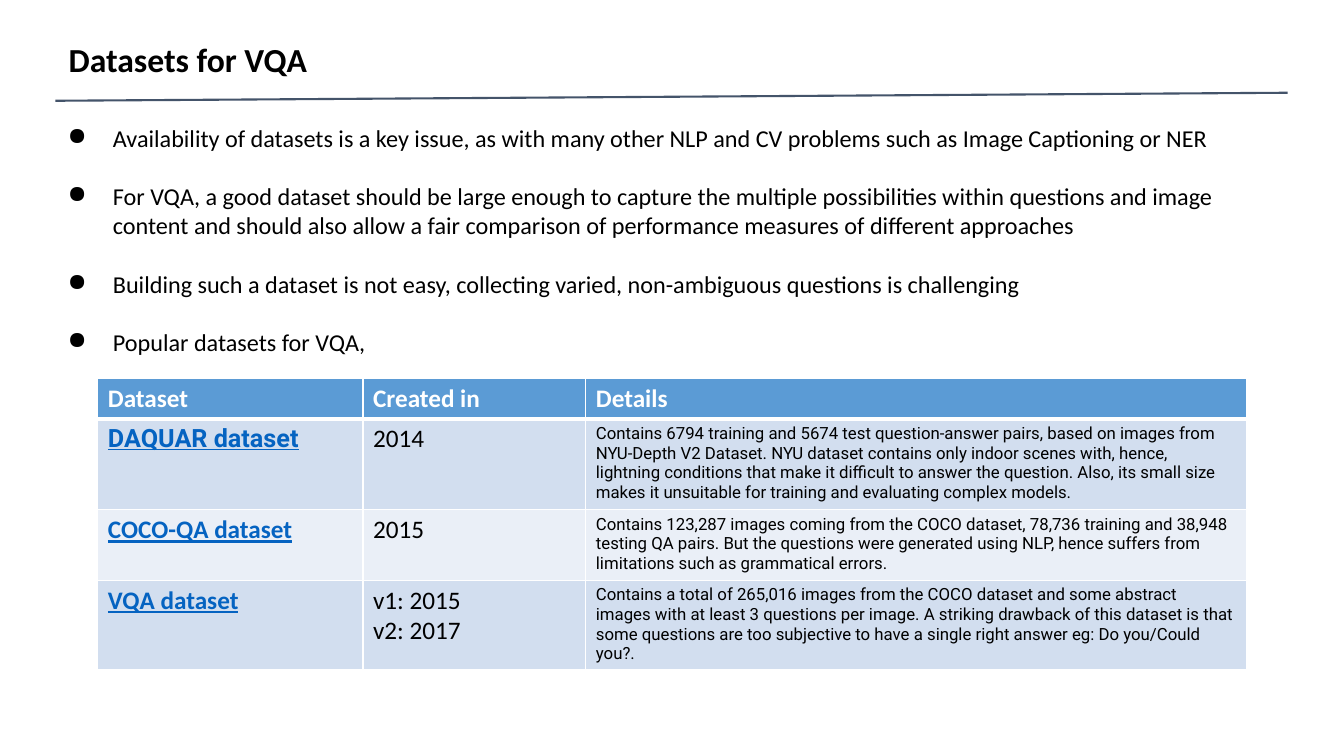
"""Build a slide on datasets for visual question answering."""
from dataclasses import dataclass

import pptx
import pptx.dml.color
import pptx.enum.shapes
import pptx.enum.text
import pptx.oxml
import pptx.oxml.ns
import pptx.util


@dataclass(frozen=True)
class Theme:
    """Colours, fonts and type sizes of the slide."""
    ink: str = "000000"
    paper: str = "FFFFFF"
    rule: str = "44546A"
    header: str = "5B9BD5"
    link: str = "0563C1"
    bands: tuple = ("D2DEEF", "EAEFF7")
    main_font: str = "Calibri"
    detail_font: str = "Roboto"
    title_size: float = 24
    bullet_size: float = 17.3
    table_size: float = 18
    detail_size: float = 12


THEME = Theme()
SLIDE_WIDTH = pptx.util.Inches(13.33)
SLIDE_HEIGHT = pptx.util.Inches(7.5)
GRID = 100

POINTS = (
    "Availability of datasets is a key issue, as with many other NLP and CV problems such as Image Captioning or NER",
    "For VQA, a good dataset should be large enough to capture the multiple possibilities within questions and image "
    "content and should also allow a fair comparison of performance measures of different approaches",
    "Building such a dataset is not easy, collecting varied, non-ambiguous questions is challenging",
    "Popular datasets for VQA,",
)
HEADINGS = ("Dataset", "Created in", "Details")
DATASETS = (
    ("DAQUAR dataset", "2014",
     "Contains 6794 training and 5674 test question-answer pairs, based on images from NYU-Depth V2 Dataset. "
     "NYU dataset contains only indoor scenes with, hence, lightning conditions that make it difficult to answer "
     "the question. Also, its small size makes it unsuitable for training and evaluating complex models."),
    ("COCO-QA dataset", "2015",
     "Contains 123,287 images coming from the COCO dataset, 78,736 training and 38,948 testing QA pairs. "
     "But the questions were generated using NLP, hence suffers from limitations such as grammatical errors."),
    ("VQA dataset", "v1: 2015\nv2: 2017",
     "Contains a total of 265,016 images from the COCO dataset and some abstract images with at least 3 questions "
     "per image. A striking drawback of this dataset is that some questions are too subjective to have a single "
     "right answer eg: Do you/Could you?."),
)


def across(columns):
    """Return the width of a number of grid columns."""
    return round(SLIDE_WIDTH * columns / GRID)


def down(rows):
    """Return the height of a number of grid rows."""
    return round(SLIDE_HEIGHT * rows / GRID)


def rgb(colour):
    """Return a colour object for a hex value."""
    return pptx.dml.color.RGBColor.from_string(colour)


def style_text(frame, size, colour=THEME.ink, font=THEME.main_font, bold=False, underline=False):
    """Format every run of a text frame."""
    for paragraph in frame.paragraphs:
        for run in paragraph.runs:
            run.font.size = pptx.util.Pt(size)
            run.font.name = font
            run.font.bold = bold
            run.font.underline = underline
            run.font.color.rgb = rgb(colour)


def set_up_frame(frame):
    """Give a text frame even insets, wrapping and top anchoring."""
    frame.word_wrap = True
    frame.auto_size = pptx.enum.text.MSO_AUTO_SIZE.NONE
    frame.vertical_anchor = pptx.enum.text.MSO_ANCHOR.TOP
    inset = pptx.util.Inches(0.13)
    frame.margin_left = frame.margin_right = frame.margin_top = frame.margin_bottom = inset


def add_title(slide, text):
    """Place and format the slide title."""
    title = slide.shapes.title
    title.left, title.top = across(4.13), down(3.47)
    title.width, title.height = across(82.5), down(19.73)
    frame = title.text_frame
    frame.text = text
    set_up_frame(frame)
    frame.paragraphs[0].alignment = pptx.enum.text.PP_ALIGN.LEFT
    style_text(frame, THEME.title_size, bold=True)


def add_title_rule(slide):
    """Draw the slightly rising line under the title."""
    rule = slide.shapes.add_connector(
        pptx.enum.shapes.MSO_CONNECTOR.STRAIGHT, across(4.13), down(13.33), across(95.8), down(12.27))
    rule.line.color.rgb = rgb(THEME.rule)
    rule.line.width = pptx.util.Pt(1.5)
    rule._element.spPr.append(pptx.oxml.parse_xml(f"<a:effectLst {pptx.oxml.ns.nsdecls('a')}/>"))


def add_points(slide, points):
    """Add the bulleted points, a line apart."""
    box = slide.shapes.add_textbox(across(2.4), down(14.53), across(92.95), down(58))
    frame = box.text_frame
    set_up_frame(frame)
    frame.text = "\n".join(points)
    for index, paragraph in enumerate(frame.paragraphs):
        properties = paragraph._p.get_or_add_pPr()
        properties.set("marL", str(pptx.util.Inches(0.67)))
        properties.set("indent", str(pptx.util.Inches(-0.45)))
        properties.append(pptx.oxml.parse_xml(f'<a:buChar {pptx.oxml.ns.nsdecls("a")} char="●"/>'))
        if index:
            paragraph.space_before = pptx.util.Pt(21.1)
    style_text(frame, THEME.bullet_size)


def set_borders(cell, top, bottom):
    """Give a cell white borders with the given top and bottom widths."""
    properties = cell._tc.get_or_add_tcPr()
    for position, (side, width) in enumerate((("L", 1), ("R", 1), ("T", top), ("B", bottom))):
        properties.insert(position, pptx.oxml.parse_xml(
            f'<a:ln{side} {pptx.oxml.ns.nsdecls("a")} w="{pptx.util.Pt(width)}">'
            f'<a:solidFill><a:srgbClr val="{THEME.paper}"/></a:solidFill></a:ln{side}>'))


def fill_row(table, row, texts, fill, styles):
    """Write one table row, with a text style for each column."""
    for column, (text, style) in enumerate(zip(texts, styles)):
        cell = table.cell(row, column)
        cell.text_frame.text = text
        style_text(cell.text_frame, **style)
        cell.fill.solid()
        cell.fill.fore_color.rgb = rgb(fill)
        set_borders(cell, top=3 if row == 1 else 1, bottom=3 if row == 0 else 1)


def add_dataset_table(slide):
    """Add the table of popular datasets."""
    widths = [across(columns) for columns in (19.73, 16.58, 49.14)]
    heights = [down(rows) for rows in (5.33, 12, 9.33, 11.87)]
    table = slide.shapes.add_table(
        len(heights), len(widths), across(7.28), down(50), sum(widths), sum(heights)).table
    for column, width in zip(table.columns, widths):
        column.width = width
    for row, height in zip(table.rows, heights):
        row.height = height

    heading = dict(size=THEME.table_size, colour=THEME.paper, bold=True)
    year = dict(size=THEME.table_size)
    details = dict(size=THEME.detail_size, font=THEME.detail_font)
    fill_row(table, 0, HEADINGS, THEME.header, [heading] * len(HEADINGS))
    for row, dataset in enumerate(DATASETS, start=1):
        name_font = THEME.detail_font if row == 1 else THEME.main_font
        name = dict(size=THEME.table_size, colour=THEME.link, font=name_font, bold=True, underline=True)
        band = THEME.bands[(row - 1) % len(THEME.bands)]
        fill_row(table, row, dataset, band, (name, year, details))


def main():
    """Build and save the presentation."""
    presentation = pptx.Presentation()
    presentation.slide_width, presentation.slide_height = SLIDE_WIDTH, SLIDE_HEIGHT
    slide = presentation.slides.add_slide(presentation.slide_layouts.get_by_name("Title Only"))
    add_title(slide, "Datasets for VQA")
    add_title_rule(slide)
    add_points(slide, POINTS)
    add_dataset_table(slide)
    presentation.save("out.pptx")


if __name__ == "__main__":
    main()
